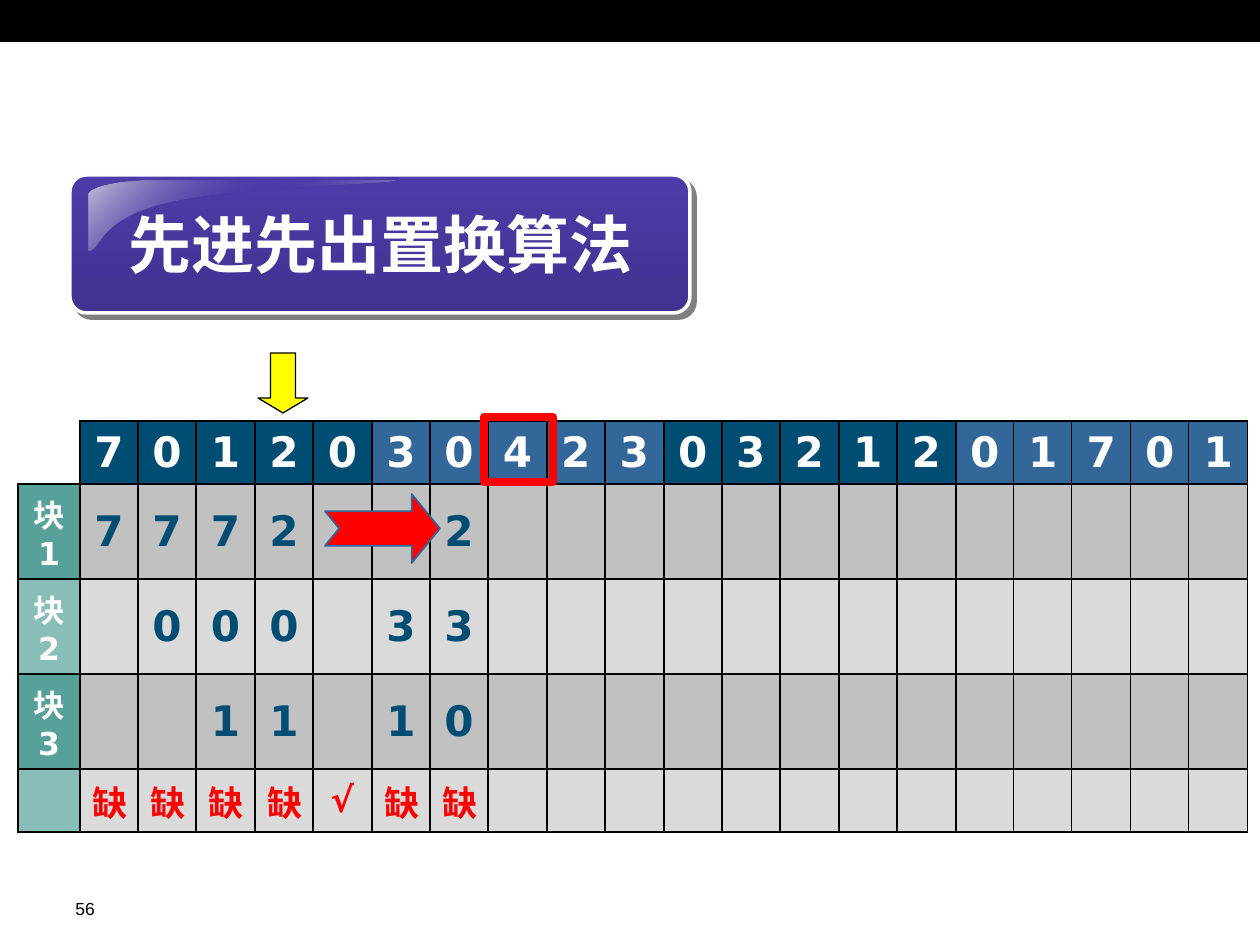
from dataclasses import dataclass
from typing import Optional

from lxml import etree
from pptx import Presentation
from pptx.dml.color import RGBColor
from pptx.enum.shapes import MSO_SHAPE
from pptx.enum.text import MSO_ANCHOR, PP_ALIGN
from pptx.oxml.ns import qn
from pptx.util import Emu, Pt

RECT = MSO_SHAPE.RECTANGLE
ROUNDED = MSO_SHAPE.ROUNDED_RECTANGLE
DOWN_ARROW = MSO_SHAPE.DOWN_ARROW
NOTCHED_ARROW = MSO_SHAPE.NOTCHED_RIGHT_ARROW
MIDDLE = MSO_ANCHOR.MIDDLE
CENTER, LEFT = PP_ALIGN.CENTER, PP_ALIGN.LEFT

BLACK, WHITE, RED, YELLOW = "000000", "FFFFFF", "FF0000", "FFFF00"
NAVY, BLUE, TEAL, GREY = "004D74", "336699", "57A19A", "B2B2B2"
PURPLE, LILAC = "4B3CA8", "C4C2DA"

REFERENCES = "70120304230321201701"
LABEL_W, PAGES_W = 62, 1168


@dataclass
class Mark:
    kind: int
    box: tuple
    fill: Optional[str]
    line: str
    width: float
    adjust: tuple = ()


@dataclass
class Row:
    label: str
    values: str
    height: int
    size: int
    color: str
    alpha: int
    label_alpha: int


BAR = Mark(RECT, (0, 0, 1260, 41), BLACK, BLACK, 0.75)
BANNER = Mark(ROUNDED, (70, 175, 620, 138), PURPLE, "FEFEFE", 2, (0.12,))
MARKS = [
    Mark(RECT, (484, 417, 69, 65), None, RED, 4.5),
    Mark(DOWN_ARROW, (258, 353, 50, 60), YELLOW, BLACK, 0.75, (0.5, 0.3)),
    Mark(NOTCHED_ARROW, (325, 494, 115, 69), RED, BLUE, 1, (0.5, 0.41)),
]
ROWS = [
    Row("", REFERENCES, 63, 24, WHITE, 100, 0),
    Row("块1", "7772 22", 95, 24, NAVY, 80, 100),
    Row("块2", " 000 33", 95, 24, NAVY, 48, 70),
    Row("块3", "  11 10", 95, 24, NAVY, 80, 100),
    Row("", "缺缺缺缺√缺缺", 63, 20, RED, 48, 70),
]


def px(n: int) -> Emu:
    """Convert pixels to EMU."""
    return Emu(round(n * 914400 / 126))


def rgb(color: str) -> RGBColor:
    """Return the colour of a hex string."""
    return RGBColor.from_string(color)


def add_alpha(clr, percent: int) -> None:
    """Set the opacity of a colour element."""
    etree.SubElement(clr, qn("a:alpha")).set("val", str(percent * 1000))


def write(tf, text: str, size: int, color: str, font: str, bold: bool, align) -> None:
    """Set and format the text of a one-paragraph frame."""
    tf.text = text
    p = tf.paragraphs[0]
    p.alignment = align
    for r in p.runs:
        r.font.size, r.font.bold, r.font.name = Pt(size), bold, font
        r.font.color.rgb = rgb(color)


def add_mark(s, mark: Mark):
    """Draw a preset shape."""
    sp = s.shapes.add_shape(mark.kind, *map(px, mark.box))
    sp.shadow.inherit = False
    for i, value in enumerate(mark.adjust):
        sp.adjustments[i] = value
    if mark.fill:
        sp.fill.solid()
        sp.fill.fore_color.rgb = rgb(mark.fill)
    else:
        sp.fill.background()
    sp.line.color.rgb = rgb(mark.line)
    sp.line.width = Pt(mark.width)
    return sp


def set_gradient(sp, angle: int, stops: list) -> None:
    """Fill a shape with (position, colour, opacity) stops at a clockwise angle."""
    sp.fill.gradient()
    sp.fill.gradient_angle = 360 - angle
    gs_list = sp._element.spPr.find(".//" + qn("a:gsLst"))
    gs_list.clear()
    for position, color, alpha in stops:
        gs = etree.SubElement(gs_list, qn("a:gs"), pos=str(position * 1000))
        add_alpha(etree.SubElement(gs, qn("a:srgbClr"), val=color), alpha)


def curve(a: tuple, b: tuple, c: tuple, d: tuple, steps: int = 24) -> list:
    """Return points along a cubic curve."""
    ts = [i / steps for i in range(steps + 1)]
    return [tuple((1 - t) ** 3 * a[k] + 3 * t * (1 - t) ** 2 * b[k]
                  + 3 * t * t * (1 - t) * c[k] + t ** 3 * d[k] for k in (0, 1)) for t in ts]


def add_banner(s) -> None:
    """Draw the glossy title banner and place the title on it."""
    sp = add_mark(s, BANNER)
    set_gradient(sp, 90, [(0, PURPLE, 100), (100, "403390", 100)])
    effects = sp._element.spPr.find(qn("a:effectLst"))
    shadow = etree.SubElement(effects, qn("a:outerShdw"), blurRad="0",
                              dist=str(Pt(4.2)), dir="2700000", algn="tl", rotWithShape="0")
    add_alpha(etree.SubElement(shadow, qn("a:srgbClr"), val=BLACK), 50)

    points = (curve((151, 181), (117, 181), (89, 188), (89, 195))
              + curve((89, 250), (103, 251), (96, 218), (173, 202))
              + curve((173, 202), (251, 186), (398, 185), (395, 181)))
    outline = [(px(x), px(y)) for x, y in points]
    builder = s.shapes.build_freeform(*outline[0])
    builder.add_line_segments(outline[1:], close=True)
    gloss = builder.convert_to_shape()
    gloss.shadow.inherit = False
    gloss.line.fill.background()
    set_gradient(gloss, 45, [(0, LILAC, 100), (50, PURPLE, 0), (100, LILAC, 100)])

    title = s.shapes.title
    title.left, title.top, title.width, title.height = map(px, (81, 199, 600, 88))
    write(title.text_frame, "先进先出置换算法", 36, WHITE, "Arial", True, CENTER)
    title.text_frame.vertical_anchor = MIDDLE
    s.shapes.element.append(title.element)


def set_borders(cell, hidden: str = "") -> None:
    """Give a cell black borders except on the hidden sides."""
    tc_pr = cell._tc.get_or_add_tcPr()
    for i, side in enumerate("LRTB"):
        ln = etree.Element(qn("a:ln" + side), w=str(Pt(1)))
        if side in hidden:
            etree.SubElement(ln, qn("a:noFill"))
        else:
            fill = etree.SubElement(ln, qn("a:solidFill"))
            etree.SubElement(fill, qn("a:srgbClr"), val=BLACK)
        tc_pr.insert(i, ln)


def fill_cell(cell, text: str, size: int, color: str, fill: str, alpha: int) -> None:
    """Fill a cell and write its centred text."""
    cell.vertical_anchor = MIDDLE
    cell.fill.solid()
    cell.fill.fore_color.rgb = rgb(fill)
    add_alpha(cell._tc.tcPr.find(".//" + qn("a:srgbClr")), alpha)
    if text.strip():
        write(cell.text_frame, text, size, color, "DejaVu Sans", True, CENTER)


def add_frames_table(s) -> None:
    """Draw the page reference and memory block table."""
    n = len(REFERENCES)
    height = sum(row.height for row in ROWS)
    table = s.shapes.add_table(len(ROWS), n + 1, px(18), px(421),
                               px(LABEL_W + PAGES_W), px(height)).table
    table.first_row = table.horz_banding = False
    edges = [PAGES_W * i // n for i in range(n + 1)]
    widths = [LABEL_W] + [b - a for a, b in zip(edges, edges[1:])]
    for column, width in zip(table.columns, widths):
        column.width = px(width)
    for i, row in enumerate(ROWS):
        table.rows[i].height = px(row.height)
        label = table.cell(i, 0)
        if i:
            fill_cell(label, row.label, 18, WHITE, TEAL, row.label_alpha)
        else:
            label.fill.background()
        set_borders(label, "" if i else "LT")
        for j, value in enumerate(row.values.ljust(n)):
            cell = table.cell(i, j + 1)
            fill = GREY if i else (NAVY, BLUE)[j // 5 % 2]
            fill_cell(cell, value, row.size, row.color, fill, row.alpha)
            set_borders(cell)


def main() -> None:
    """Build the slide and save it."""
    prs = Presentation()
    prs.slide_width, prs.slide_height = px(1260), px(945)
    s = prs.slides.add_slide(prs.slide_layouts[5])
    add_mark(s, BAR)
    tf = s.shapes.add_textbox(*map(px, (63, 892, 84, 32))).text_frame
    tf.word_wrap = True
    write(tf, "56", 10, BLACK, "Arial", False, LEFT)
    add_frames_table(s)
    add_banner(s)
    for mark in MARKS:
        add_mark(s, mark)
    prs.save("out.pptx")


if __name__ == "__main__":
    main()
